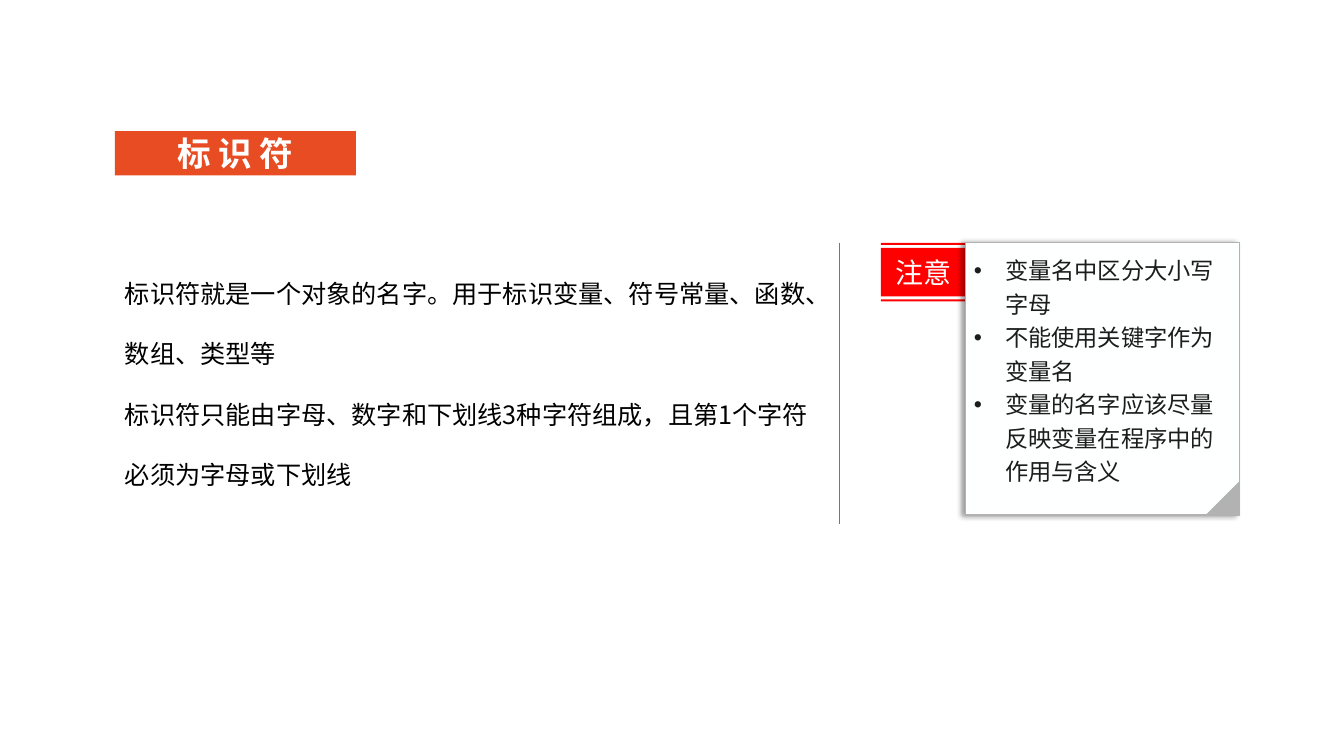
"""Build the slide that explains identifiers and the rules for variable names."""
from lxml.etree import SubElement
from pptx import Presentation
from pptx.dml.color import RGBColor
from pptx.enum.shapes import MSO_CONNECTOR, MSO_SHAPE
from pptx.enum.text import MSO_ANCHOR, MSO_AUTO_SIZE, PP_ALIGN
from pptx.oxml.ns import qn
from pptx.util import Pt

FONT = "Noto Sans CJK SC"
ORANGE = RGBColor(0xE8, 0x4C, 0x22)
RED = RGBColor(0xFF, 0x00, 0x00)
WHITE = RGBColor(0xFF, 0xFF, 0xFF)
PAPER = RGBColor(0xFE, 0xFF, 0xFF)
GRAY = RGBColor(0xB2, 0xB2, 0xB2)
INK = RGBColor(0x1C, 0x1C, 0x1C)
BLACK = RGBColor(0x00, 0x00, 0x00)

LEFT, TOP = 82.1, 173.5
FLAG_LEFT, CARD_LEFT = 629.3, 689.8
CARD_W, CARD_H, FOLD = 195.8, 194.4, 23.8


def paint(sp, fill, line=None):
    sp.shadow.inherit = False
    sp.fill.solid()
    sp.fill.fore_color.rgb = fill
    if line is None:
        sp.line.fill.background()
    else:
        sp.line.color.rgb = line
        sp.line.width = Pt(0.75)


def write(sp, text, size, color, align, anchor, spacing=1.0, margin=None, bold=False):
    tf = sp.text_frame
    tf.text = text
    tf.word_wrap = True
    tf.vertical_anchor = anchor
    if margin is not None:
        tf.margin_left = tf.margin_right = tf.margin_top = tf.margin_bottom = Pt(margin)
    for p in tf.paragraphs:
        p.alignment = align
        p.line_spacing = spacing
        for r in p.runs:
            r.font.size = Pt(size)
            r.font.bold = bold
            r.font.color.rgb = color
            r.font.name = FONT
            SubElement(r.font._element, qn("a:ea"), typeface=FONT)


prs = Presentation()
prs.slide_width, prs.slide_height = Pt(960), Pt(540)
s = prs.slides.add_slide(prs.slide_layouts[6])

divider = s.shapes.add_connector(
    MSO_CONNECTOR.STRAIGHT, Pt(599.8), Pt(TOP), Pt(599.8), Pt(374.4))
divider.line.color.rgb = ORANGE
divider.line.width = Pt(0.5)
SubElement(divider._element.spPr, qn("a:effectLst"))

title = s.shapes.add_shape(MSO_SHAPE.RECTANGLE, Pt(LEFT), Pt(93.6), Pt(172.1), Pt(31.7))
paint(title, ORANGE)
write(title, "标 识 符", 24, WHITE, PP_ALIGN.CENTER, MSO_ANCHOR.MIDDLE, margin=0, bold=True)

body = s.shapes.add_textbox(Pt(LEFT), Pt(TOP), Pt(507.6), Pt(181.4))
write(body, "标识符就是一个对象的名字。用于标识变量、符号常量、函数、数组、类型等\n"
      "标识符只能由字母、数字和下划线3种字符组成，且第1个字符必须为字母或下划线",
      18, BLACK, PP_ALIGN.LEFT, MSO_ANCHOR.TOP, spacing=2.0)
body.text_frame.auto_size = MSO_AUTO_SIZE.SHAPE_TO_FIT_TEXT

fb = s.shapes.build_freeform(Pt(FLAG_LEFT), Pt(TOP))
for top, bottom in [(TOP, 175), (177.1, 211.7), (213.8, 215.3)]:
    if top != TOP:
        fb.move_to(Pt(FLAG_LEFT), Pt(top))
    fb.add_line_segments([(Pt(CARD_LEFT), Pt(top)), (Pt(CARD_LEFT), Pt(bottom)),
                          (Pt(FLAG_LEFT), Pt(bottom))], close=True)
flag = fb.convert_to_shape()
paint(flag, RED)
write(flag, "注意", 20, PAPER, PP_ALIGN.CENTER, MSO_ANCHOR.MIDDLE)

card = s.shapes.add_shape(
    MSO_SHAPE.RECTANGLE, Pt(CARD_LEFT), Pt(TOP), Pt(CARD_W), Pt(CARD_H))
paint(card, PAPER, GRAY)
write(card, "变量名中区分大小写字母\n不能使用关键字作为变量名\n"
      "变量的名字应该尽量反映变量在程序中的作用与含义",
      16.6, INK, PP_ALIGN.LEFT, MSO_ANCHOR.TOP, spacing=1.2, margin=5.8)
for p in card.text_frame.paragraphs:
    pPr = p._p.get_or_add_pPr()
    pPr.set("marL", str(Pt(22.3)))
    pPr.set("indent", str(-Pt(22.3)))
    SubElement(pPr, qn("a:buFont"), typeface="Arial")
    SubElement(pPr, qn("a:buChar"), char="•")
shadow = SubElement(card._element.spPr.find(qn("a:effectLst")), qn("a:outerShdw"),
                    blurRad=str(Pt(4)), dist=str(Pt(3)), dir="10800000",
                    algn="r", rotWithShape="0")
shade = SubElement(shadow, qn("a:srgbClr"), val=str(BLACK))
SubElement(shade, qn("a:alpha"), val="40000")

fold = s.shapes.add_shape(
    MSO_SHAPE.RIGHT_TRIANGLE, Pt(CARD_LEFT + CARD_W - FOLD), Pt(TOP + CARD_H - FOLD - 0.7),
    Pt(FOLD), Pt(FOLD))
fold.rotation = 270
paint(fold, GRAY)

prs.save("out.pptx")
